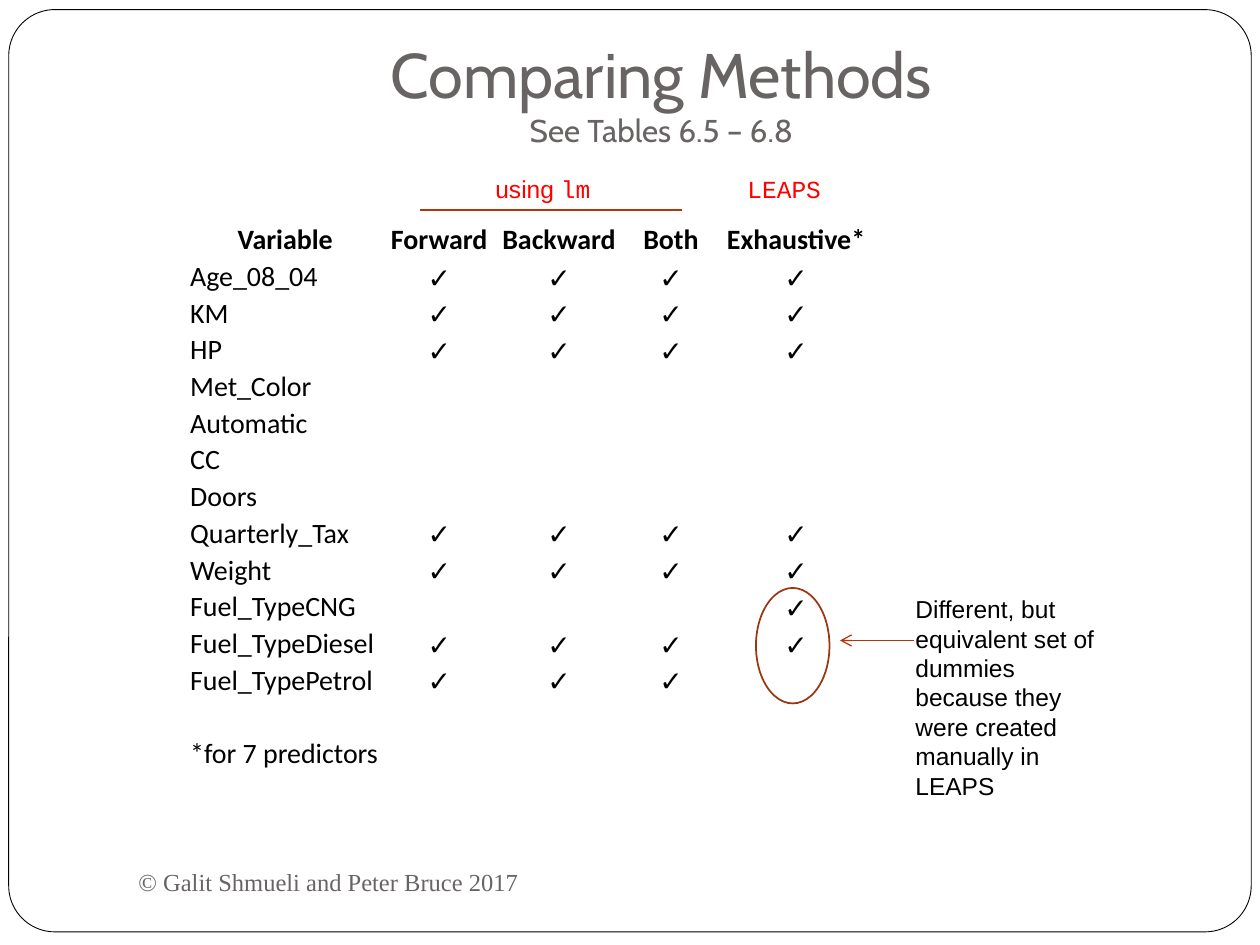
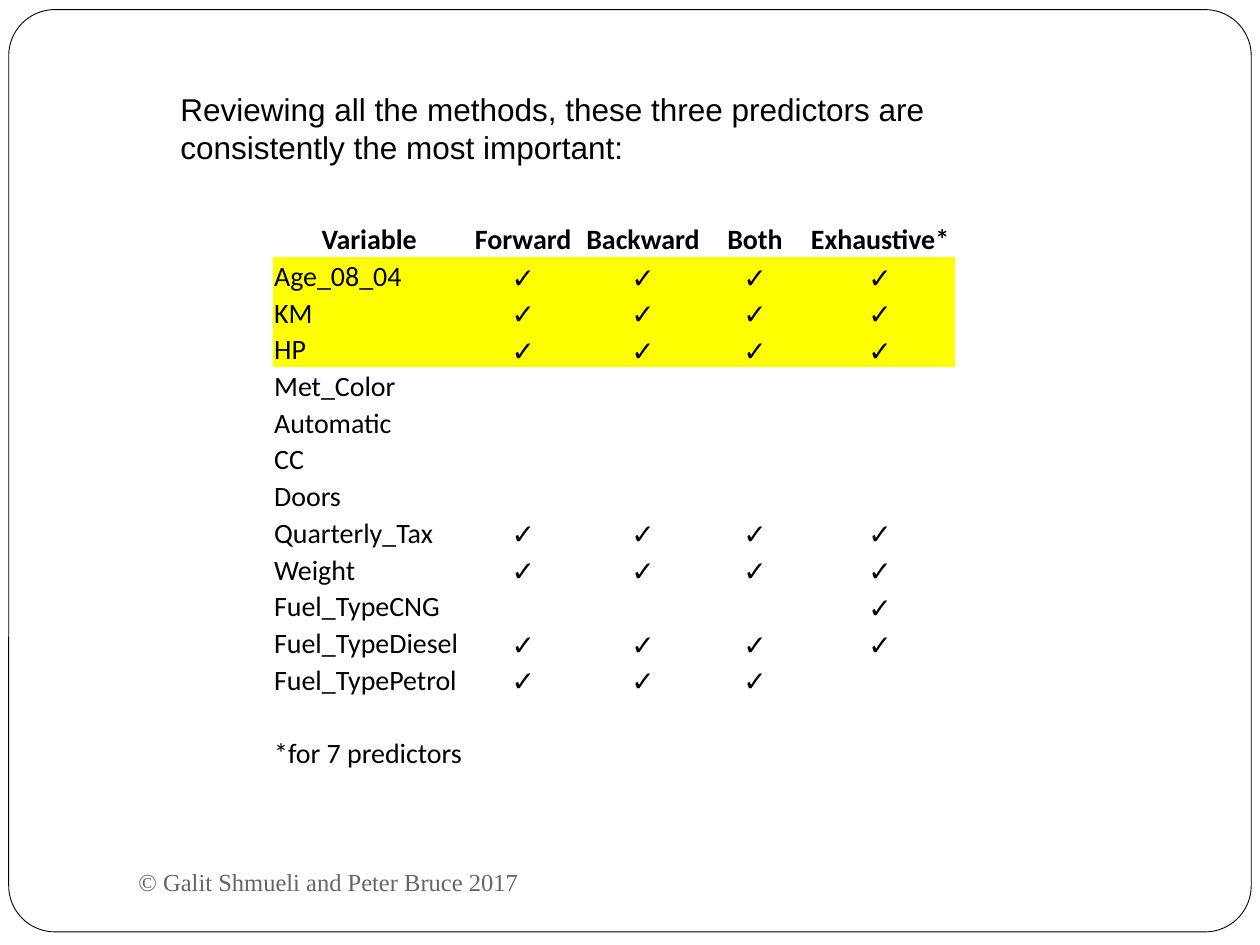
from lxml import etree
from pptx import Presentation
from pptx.dml.color import RGBColor
from pptx.enum.shapes import MSO_CONNECTOR, MSO_SHAPE
from pptx.enum.text import MSO_ANCHOR, MSO_AUTO_SIZE, PP_ALIGN
from pptx.oxml.ns import qn
from pptx.util import Pt

LEFT, CENTER = PP_ALIGN.LEFT, PP_ALIGN.CENTER
TOP, MIDDLE, BOTTOM = MSO_ANCHOR.TOP, MSO_ANCHOR.MIDDLE, MSO_ANCHOR.BOTTOM
ROUND, OVAL = MSO_SHAPE.ROUNDED_RECTANGLE, MSO_SHAPE.OVAL
STRAIGHT, FIXED = MSO_CONNECTOR.STRAIGHT, MSO_AUTO_SIZE.NONE

# Shared style
BLACK, WHITE, GRAY, RED = "000000", "FFFFFF", "696464", "FF0000"
YELLOW, RUST, BRICK = "FFFF00", "B1360B", "9C3511"
SANS, HEAD, GRID, CODE, SERIF = (
    "Arial", "Cabin", "Calibri", "Courier New", "Times New Roman")
NO_STYLE = "{2D5ABB26-0587-4C30-8999-92F81FD0307C}"
FOOTER = "© Galit Shmueli and Peter Bruce 2017"

# Which methods keep each variable
METHODS = ["Forward", "Backward", "Both", "Exhaustive*"]
ALL, NONE, STEP, LAST = "1111", "0000", "1110", "0001"
PICKS = [
    ("Age_08_04", ALL), ("KM", ALL), ("HP", ALL),
    ("Met_Color", NONE), ("Automatic", NONE), ("CC", NONE), ("Doors", NONE),
    ("Quarterly_Tax", ALL), ("Weight", ALL), ("Fuel_TypeCNG", LAST),
    ("Fuel_TypeDiesel", ALL), ("Fuel_TypePetrol", STEP),
]
NOTE = "*for 7 predictors"
WIDTHS = [110, 66, 71, 57, 86]
ROW = 21


def color(code):
    return RGBColor.from_string(code)


def write(para, text, font=SANS, size=14, ink=BLACK, bold=False, align=LEFT):
    """Add one formatted run to a paragraph."""
    para.alignment = align
    run = para.add_run()
    run.text = text
    run.font.name, run.font.size = font, Pt(size)
    run.font.bold, run.font.color.rgb = bold, color(ink)


class Deck:
    def __init__(self):
        self.show = Presentation()
        self.show.slide_width, self.show.slide_height = Pt(720), Pt(540)

    def start(self, layout):
        """Add a slide with the frame and the footer."""
        self.slide = self.show.slides.add_slide(self.show.slide_layouts[layout])
        self.shapes = self.slide.shapes
        frame = self.shape(ROUND, 5, 5.5, 710, 527, BLACK, 0.5, WHITE)
        frame.adjustments[0] = 0.05
        self.shapes._spTree.insert(2, frame._element)
        write(self.text(72, 486, 312, 36, MIDDLE), FOOTER, font=SERIF, ink=GRAY)

    def title(self, main, sub):
        box = self.shapes.title
        box.left, box.top, box.width, box.height = Pt(54), Pt(36), Pt(648), Pt(78)
        frame = box.text_frame
        frame.auto_size, frame.vertical_anchor = FIXED, BOTTOM
        frame.margin_bottom = Pt(29)
        write(frame.paragraphs[0], main, HEAD, 36, GRAY, align=CENTER)
        write(frame.add_paragraph(), sub, HEAD, 18, GRAY, align=CENTER)

    def text(self, x, y, w, h, anchor=TOP):
        """Add a text box and return its paragraph."""
        frame = self.shapes.add_textbox(Pt(x), Pt(y), Pt(w), Pt(h)).text_frame
        frame.word_wrap, frame.vertical_anchor = True, anchor
        return frame.paragraphs[0]

    def shape(self, kind, x, y, w, h, line, weight, fill=None):
        item = self.shapes.add_shape(kind, Pt(x), Pt(y), Pt(w), Pt(h))
        item.shadow.inherit = False
        item.line.color.rgb, item.line.width = color(line), Pt(weight)
        if fill:
            item.fill.solid()
            item.fill.fore_color.rgb = color(fill)
        else:
            item.fill.background()
        return item

    def line(self, x1, y1, x2, y2, arrow=False):
        item = self.shapes.add_connector(STRAIGHT, Pt(x1), Pt(y1), Pt(x2), Pt(y2))
        item.line.color.rgb, item.line.width = color(RUST), Pt(0.75)
        if arrow:
            etree.SubElement(item.line._get_or_add_ln(), qn("a:tailEnd"), type="arrow")
        etree.SubElement(item._element.spPr, qn("a:effectLst"))

    def cell(self, cell, text, fill=None, anchor=BOTTOM, **form):
        cell.margin_left = cell.margin_right = cell.margin_top = Pt(0.7)
        cell.margin_bottom = 0
        cell.vertical_anchor = anchor
        if fill:
            cell.fill.solid()
            cell.fill.fore_color.rgb = color(fill)
        else:
            cell.fill.background()
        para = cell.text_frame.paragraphs[0]
        if text:
            write(para, text, size=16, **form)
        else:
            etree.SubElement(para._p, qn("a:endParaRPr"), sz="1600")

    def table(self, x, y, marked=0):
        """Add the table of methods, with its first rows marked."""
        rows = PICKS + [("", NONE), (NOTE, NONE)]
        count = len(rows) + 1
        table = self.shapes.add_table(count, len(WIDTHS), Pt(x), Pt(y),
                                      Pt(sum(WIDTHS)), Pt(ROW * count)).table
        table.first_row = table.horz_banding = False
        table._tbl.tblPr.find(qn("a:tableStyleId")).text = NO_STYLE
        for col, width in zip(table.columns, WIDTHS):
            col.width = Pt(width)
        for row in table.rows:
            row.height = Pt(ROW)
        for c, name in enumerate(["Variable"] + METHODS):
            self.cell(table.cell(0, c), name, anchor=MIDDLE,
                      font=GRID, bold=True, align=CENTER)
        for r, (name, picks) in enumerate(rows, 1):
            fill = YELLOW if r <= marked else None
            self.cell(table.cell(r, 0), name, fill, font=GRID)
            for c, pick in enumerate(picks, 1):
                self.cell(table.cell(r, c), "✓" if pick == "1" else "",
                          fill, align=CENTER)
        table.cell(count - 1, 0).merge(table.cell(count - 1, 1))


def main():
    deck = Deck()

    # Slide 1: methods side by side
    deck.start(5)
    deck.title("Comparing Methods", "See Tables 6.5 – 6.8")
    deck.table(108, 126)
    deck.shape(OVAL, 432, 336, 42, 66, BRICK, 1)
    write(deck.text(516, 336, 126, 126),
          "Different, but equivalent set of dummies because they were "
          "created manually in LEAPS")
    deck.line(522, 366, 480, 366, arrow=True)
    deck.line(240, 120, 390, 120)
    label = deck.text(276, 96, 78, 24)
    write(label, "using ", ink=RED)
    write(label, "lm", font=CODE, ink=RED)
    write(deck.text(420, 96, 60, 24), "LEAPS", font=CODE, ink=RED)

    # Slide 2: the three best predictors
    deck.start(6)
    deck.table(156, 126, marked=3)
    write(deck.text(96, 48, 528, 51),
          "Reviewing all the methods, these three predictors are "
          "consistently the most important:", size=18)

    deck.show.save("out.pptx")


if __name__ == "__main__":
    main()
